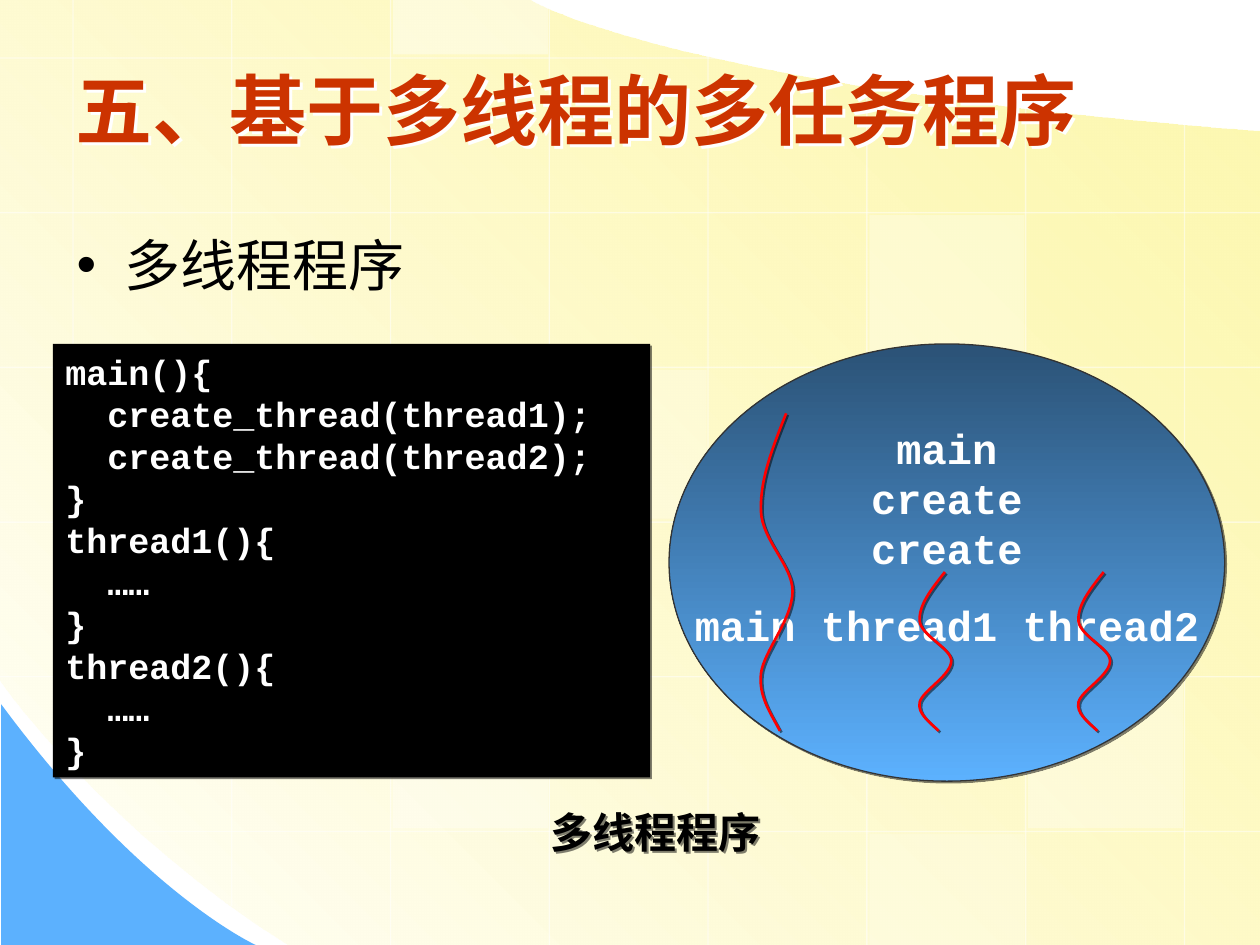
import pptx
import pptx.util
import pptx.dml.color
import pptx.enum.shapes
import pptx.enum.text
import pptx.oxml.ns
from dataclasses import dataclass
from lxml import etree

W, H = 10, 7.5
X0, Y0, COL, GAP = 0.58, 0.46, 1.26, 0.02
ROW = (6.6 - Y0) / 5
TILE_W, TILE_H = 1.23, 1.18
SHAPE = pptx.enum.shapes.MSO_SHAPE
ALIGN = pptx.enum.text.PP_ALIGN
ANCHOR = pptx.enum.text.MSO_ANCHOR
qn = pptx.oxml.ns.qn
COLORS = {
    "white": "FFFFFF", "black": "000000", "title": "CC3300", "thread": "FF0000",
    "cream": "FDF58D", "ivory": "FFFFFB", "sky": "5CB1FE", "navy": "2B5276",
    "outline": "333333",
}


@dataclass
class Box:
    x: float
    y: float
    w: float
    h: float

    def emu(self) -> list:
        return [inch(share * side / 100) for share, side in
                ((self.x, W), (self.y, H), (self.w, W), (self.h, H))]


@dataclass
class Tile:
    col: int
    row: int
    alpha: int


@dataclass
class Style:
    size: int
    color: str
    font: str = "Arial"
    bold: bool = True
    align: ALIGN = ALIGN.LEFT


def inch(value: float) -> int:
    return pptx.util.Inches(value)


def rgb(name: str):
    return pptx.dml.color.RGBColor.from_string(COLORS[name])


def set_alpha(parent, percent: int) -> None:
    clr = next(parent.iter(qn("a:srgbClr")))
    etree.SubElement(clr, qn("a:alpha"), val=str(percent * 1000))


def add_shadow(s, color: str = "black", alpha: int = 50, dist: float = 1.4) -> None:
    s.shadow.inherit = False
    effects = s._element.spPr.find(qn("a:effectLst"))
    outer = etree.SubElement(effects, qn("a:outerShdw"), blurRad="0",
                             dist=str(pptx.util.Pt(dist)), dir="2700000", algn="ctr")
    etree.SubElement(outer, qn("a:srgbClr"), val=COLORS[color])
    set_alpha(outer, alpha)


def fill_solid(s, color: str) -> None:
    s.fill.solid()
    s.fill.fore_color.rgb = rgb(color)


def fill_gradient(s, start: str, end: str, angle: int) -> None:
    s.fill.gradient()
    s.fill.gradient_angle = angle
    for stop, color in zip(s.fill.gradient_stops, (start, end)):
        stop.color.rgb = rgb(color)


def add_outline(slide, start: tuple, segments: list, closed: bool):
    points = [(inch(x), inch(y)) for segment in segments for x, y in segment]
    builder = slide.shapes.build_freeform(inch(start[0]), inch(start[1]), scale=1.0)
    builder.add_line_segments(points, close=closed)
    s = builder.convert_to_shape()
    steps = list(s._element.iter(qn("a:lnTo")))
    for segment in segments:
        parts, steps = steps[:len(segment)], steps[len(segment):]
        if len(parts) == 3:
            bezier = etree.Element(qn("a:cubicBezTo"))
            parts[0].addprevious(bezier)
            for part in parts:
                bezier.append(part[0])
                part.getparent().remove(part)
    s.shadow.inherit = False
    if closed:
        s.line.fill.background()
    else:
        s.fill.background()
    return s


def add_grid_line(slide, x1: float, y1: float, x2: float, y2: float) -> None:
    line = slide.shapes.add_connector(pptx.enum.shapes.MSO_CONNECTOR.STRAIGHT,
                                      *(inch(v) for v in (x1, y1, x2, y2)))
    line.line.color.rgb = rgb("white")
    line.line.width = pptx.util.Pt(0.75)
    set_alpha(line._element.spPr, 50)
    etree.SubElement(line._element.spPr, qn("a:effectLst"))


def add_tile(slide, tile: Tile) -> None:
    left = X0 + tile.col * COL + GAP
    top = Y0 + tile.row * ROW + GAP
    bottom = min(top + TILE_H, H)
    top = max(top, 0)
    s = slide.shapes.add_shape(SHAPE.RECTANGLE, inch(left), inch(top),
                               inch(TILE_W), inch(bottom - top))
    s.shadow.inherit = False
    fill_solid(s, "white")
    set_alpha(s._element.spPr, tile.alpha)
    s.line.fill.background()


def add_backdrop(slide) -> None:
    pane = add_outline(slide, (10, 1.04), [
        [(10, 4.27), (10, 7.5), (10, 7.5)], [(2.3, 7.5)],
        [(0.86, 6.61), (-0.01, 5.39), (0, 5.39)], [(-0.01, -0.01)], [(4.21, 0)],
        [(4.21, 0.01), (5.37, 0.69), (10, 1.04)]], True)
    fill_gradient(pane, "cream", "ivory", 225)
    set_alpha(pane._element.spPr, 70)
    corner = add_outline(slide, (0.01, 5.59), [
        [(0.01, 6.55), (0.01, 7.5), (0.01, 7.5)], [(2.03, 7.5)],
        [(2.03, 7.5), (1.12, 7.09), (0.01, 5.59)]], True)
    fill_solid(corner, "sky")
    tops = (0, 0, 0, 0, 0.43, 0.68, 0.85, 0.98)
    bottoms = (6.09, 7.19) + (H,) * 6
    for i, (y1, y2) in enumerate(zip(tops, bottoms)):
        add_grid_line(slide, X0 + i * COL, y1, X0 + i * COL, y2)
    for i, (left, right) in enumerate([(0, 5.68)] + [(0, W)] * 4 + [(1.11, W)]):
        add_grid_line(slide, right, Y0 + i * ROW, left, Y0 + i * ROW)
    for tile in (Tile(3, 2, 25), Tile(6, 4, 30), Tile(5, 5, 20),
                 Tile(2, -1, 40), Tile(2, 4, 30), Tile(5, 1, 30)):
        add_tile(slide, tile)


def move_to_master(prs, slide) -> None:
    tree = prs.slide_master.shapes._spTree
    parts = [s for s in slide.shapes if not s.is_placeholder]
    for i, s in enumerate(parts):
        next(s._element.iter(qn("p:cNvPr"))).set("id", str(100 + i))
        tree.insert(2 + i, s._element)


def write(s, lines: list, style: Style, wrap: bool = True, anchor=ANCHOR.TOP) -> None:
    tf = s.text_frame
    tf.word_wrap = wrap
    tf.vertical_anchor = anchor
    for i, line in enumerate(lines):
        p = tf.paragraphs[0] if i == 0 else tf.add_paragraph()
        p.alignment = style.align
        r = p.add_run()
        r.text = line
        r.font.size = pptx.util.Pt(style.size)
        r.font.name = style.font
        r.font.bold = style.bold
        r.font.color.rgb = rgb(style.color)


def add_thread(slide, left: float, top: float, height: float) -> None:
    xs = (0.22, 0.11, 0.01, 0.02, 0.03, 0.27, 0.27, 0.27, 0.04, 0.02, 0, 0.09, 0.17)
    ys = (0, 0.11, 0.21, 0.31, 0.4, 0.48, 0.56, 0.65, 0.75, 0.82, 0.89, 0.94, 1)
    points = [(left + x, top + y * height) for x, y in zip(xs, ys)]
    s = add_outline(slide, points[0], [points[i:i + 3] for i in range(1, 13, 3)], False)
    s.line.color.rgb = rgb("thread")
    s.line.width = pptx.util.Pt(1.5)
    add_shadow(s)


def main() -> None:
    prs = pptx.Presentation()
    prs.slide_width, prs.slide_height = inch(W), inch(H)
    slide = prs.slides.add_slide(prs.slide_layouts[5])
    add_backdrop(slide)
    move_to_master(prs, slide)

    title = slide.shapes.title
    title.left, title.top, title.width, title.height = Box(5, 4.8, 90, 13.47).emu()
    write(title, ["五、基于多线程的多任务程序"], Style(44, "title"), anchor=ANCHOR.MIDDLE)
    add_shadow(title, "white", 100, 2.5)

    body = slide.shapes.add_textbox(*Box(5.1, 23.73, 90, 66).emu())
    pPr = body.text_frame.paragraphs[0]._p.get_or_add_pPr()
    pPr.set("marL", str(inch(0.38)))
    pPr.set("indent", str(inch(-0.38)))
    etree.SubElement(pPr, qn("a:buFont"), typeface="Arial")
    etree.SubElement(pPr, qn("a:buChar"), char="•")
    write(body, ["多线程程序"], Style(32, "black", bold=False))

    process = slide.shapes.add_shape(SHAPE.OVAL, *Box(53.1, 36.4, 44.1, 46.27).emu())
    fill_gradient(process, "navy", "sky", 270)
    process.line.color.rgb = rgb("outline")
    process.line.width = pptx.util.Pt(0.75)
    add_shadow(process)
    process.text_frame.margin_bottom = inch(0.47)
    write(process, ["main", "create", "create", "main thread1 thread2"],
          Style(24, "white", "Courier New", align=ALIGN.CENTER), False, ANCHOR.MIDDLE)
    process.text_frame.paragraphs[-1].space_before = pptx.util.Pt(15)
    add_thread(slide, 6.02, 3.28, 2.52)

    caption = slide.shapes.add_textbox(*Box(42.7, 84.67, 18.7, 6.67).emu())
    write(caption, ["多线程程序"], Style(24, "black"), wrap=False)
    add_shadow(caption)

    code = slide.shapes.add_shape(SHAPE.RECTANGLE, *Box(4.2, 36.4, 47.4, 45.87).emu())
    fill_solid(code, "black")
    code.line.fill.background()
    add_shadow(code)
    write(code, ["main(){", "  create_thread(thread1);", "  create_thread(thread2);", "}",
                 "thread1(){", "  ……", "}", "thread2(){", "  ……", "}"],
          Style(20, "white", "Courier New"))

    for left in (7.28, 8.54):
        add_thread(slide, left, 4.54, 1.26)
    prs.save("out.pptx")


if __name__ == "__main__":
    main()
